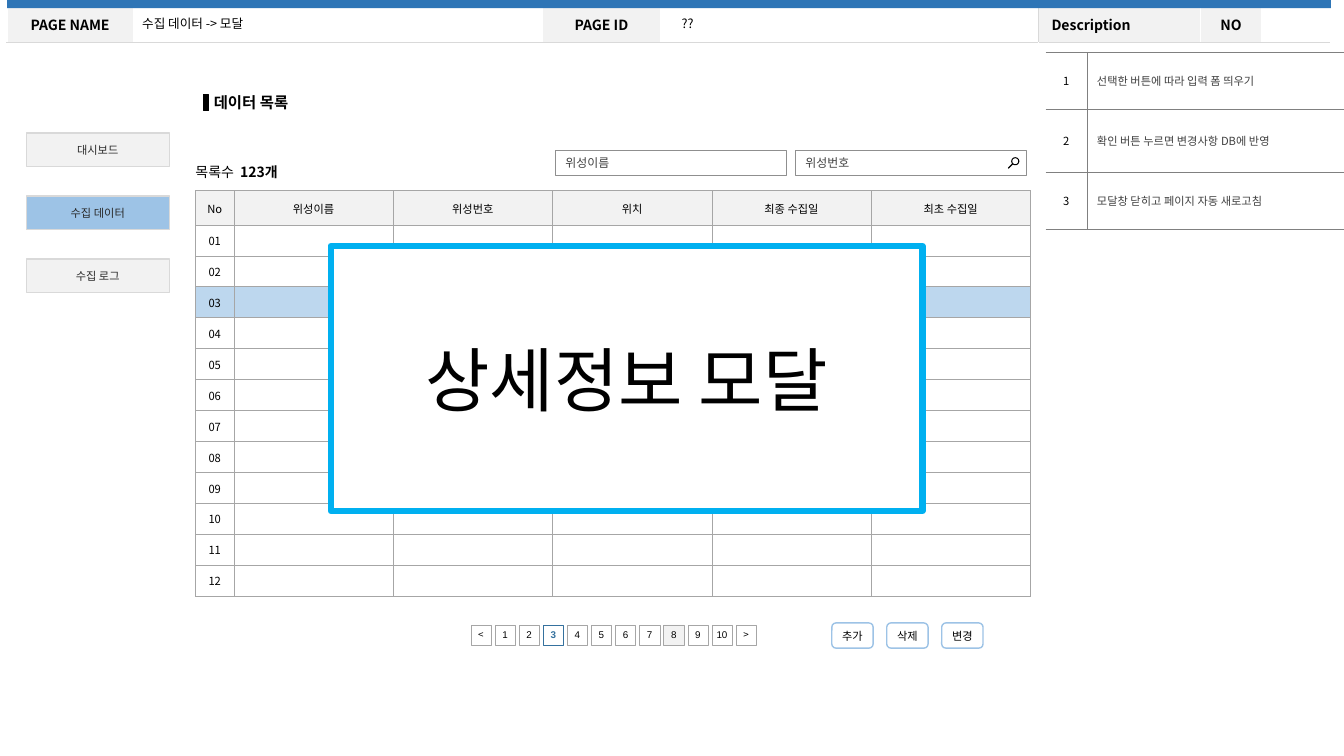
from math import cos, sin, radians
from lxml import etree
from pptx import Presentation
from pptx.dml.color import RGBColor
from pptx.enum.shapes import MSO_SHAPE
from pptx.enum.text import MSO_ANCHOR, MSO_AUTO_SIZE, PP_ALIGN
from pptx.oxml.ns import qn
from pptx.util import Inches, Pt

RECT, ROUND = MSO_SHAPE.RECTANGLE, MSO_SHAPE.ROUNDED_RECTANGLE
MID, TOP = MSO_ANCHOR.MIDDLE, MSO_ANCHOR.TOP
LEFT, CENTER = PP_ALIGN.LEFT, PP_ALIGN.CENTER
FIXED = MSO_AUTO_SIZE.NONE
BLACK = RGBColor(0x00, 0x00, 0x00)
WHITE = RGBColor(0xFF, 0xFF, 0xFF)
PALE = RGBColor(0xF2, 0xF2, 0xF2)
RULE = RGBColor(0xD9, 0xD9, 0xD9)
GRID = RGBColor(0xA6, 0xA6, 0xA6)
EDGE = RGBColor(0x8F, 0x8F, 0x8F)
GRAY = RGBColor(0x80, 0x80, 0x80)
DARK = RGBColor(0x40, 0x40, 0x40)
INK = RGBColor(0x29, 0x29, 0x29)
BAR = RGBColor(0x2E, 0x75, 0xB6)
SKY = RGBColor(0x9D, 0xC3, 0xE6)
ROW = RGBColor(0xBD, 0xD7, 0xEE)
LINK = RGBColor(0x35, 0x71, 0x9E)
CYAN = RGBColor(0x00, 0xB0, 0xF0)
NOTO, ARIAL, CALIBRI = "Noto Sans CJK KR", "Arial", "Calibri"

TITLE = "데이터 목록"
FIELDS = [("수집 데이터 -> 모달", 1.31, 4.02), ("??", 6.66, 3.64)]
HEADS = ["PAGE NAME", "", "PAGE ID", "", "Description", "NO", ""]
HEAD_COLS = [1.25, 4.06, 1.17, 3.75, 1.61, 0.6, 0.68]
NOTES = ["선택한 버튼에 따라 입력 폼 띄우기", "확인 버튼 누르면 변경사항 DB에 반영",
         "모달창 닫히고 페이지 자동 새로고침"]
MENU = [("대시보드", CALIBRI), ("수집 데이터", CALIBRI), ("수집 로그", NOTO)]
LIST = ["No", "위성이름", "위성번호", "위치", "최종 수집일", "최초 수집일"]
COUNT = 12
CHOSEN = 3
SEARCH = [("위성이름", 5.51), ("위성번호", 7.89)]
PAGES = ["<"] + [str(n) for n in range(1, 11)] + [">"]
BUTTONS = ["추가", "삭제", "변경"]
MODAL = "상세정보 모달"

deck = Presentation()
deck.slide_width, deck.slide_height = Inches(13.33), Inches(7.5)
slide = deck.slides.add_slide(deck.slide_layouts[3])
shapes = slide.shapes


def write(par, text, size, color=BLACK, font=NOTO, bold=False):
    run = par.add_run()
    run.text = text
    run.font.size, run.font.bold, run.font.name = Pt(size), bold, font
    run.font.color.rgb = color
    etree.SubElement(run._r.get_or_add_rPr(), qn("a:ea"), typeface=NOTO)


def place(item, x, y, w, h):
    item.left, item.top = Inches(x), Inches(y)
    item.width, item.height = Inches(w), Inches(h)


def pad(item, sides):
    (item.margin_left, item.margin_top,
     item.margin_right, item.margin_bottom) = map(Inches, sides)


def paint(item, fill, line, width):
    item.shadow.inherit = False
    if fill is None:
        item.fill.background()
    else:
        item.fill.solid()
        item.fill.fore_color.rgb = fill
    if line is None:
        item.line.fill.background()
    else:
        item.line.color.rgb, item.line.width = line, Pt(width)


def box(kind, at, fill, line=None, width=0.25, text="", size=8, color=BLACK,
        font=NOTO, bold=False, align=CENTER, sides=(0, 0, 0, 0)):
    item = shapes.add_shape(kind, *map(Inches, at))
    paint(item, fill, line, width)
    if text:
        frame = item.text_frame
        frame.word_wrap, frame.vertical_anchor = True, MID
        pad(frame, sides)
        frame.paragraphs[0].alignment = align
        write(frame.paragraphs[0], text, size, color, font, bold)
    return item


def grid(x, y, cols, rows):
    frame = shapes.add_table(len(rows), len(cols), Inches(x), Inches(y),
                             Inches(sum(cols)), Inches(sum(rows)))
    table = frame.table
    table.first_row = table.horz_banding = False
    for col, w in zip(table.columns, cols):
        col.width = Inches(w)
    for row, h in zip(table.rows, rows):
        row.height = Inches(h)
    return table


def cell_style(cell, edges, fill=None, sides=(0.1, 0.05, 0.1, 0.05)):
    cell.vertical_anchor = MID
    pad(cell, sides)
    props = cell._tc.get_or_add_tcPr()
    for side, color in zip("LRTB", edges):
        width = 12700 if color == WHITE else 3175
        line = etree.SubElement(props, qn("a:ln" + side), w=str(width))
        if color is None:
            etree.SubElement(line, qn("a:noFill"))
        else:
            solid = etree.SubElement(line, qn("a:solidFill"))
            etree.SubElement(solid, qn("a:srgbClr"), val=str(color))
    if fill is None:
        cell.fill.background()
    else:
        cell.fill.solid()
        cell.fill.fore_color.rgb = fill


def cell_text(cell, text, size, color=BLACK, bold=False, align=CENTER):
    par = cell.text_frame.paragraphs[0]
    par.alignment = align
    if text:
        write(par, text, size, color, NOTO, bold)
    else:
        etree.SubElement(par._p, qn("a:endParaRPr"), sz=str(size * 100))
    return par


title, *bodies = slide.placeholders
place(title, 2.02, 0.87, 1.03, 0.29)
frame = title.text_frame
frame.auto_size, frame.word_wrap, frame.vertical_anchor = FIXED, False, TOP
frame.paragraphs[0].alignment = LEFT
write(frame.paragraphs[0], TITLE, 11, bold=True)

for body, (text, x, w) in zip(bodies, FIELDS):
    place(body, x, 0.12, w, 0.24)
    frame = body.text_frame
    frame.auto_size, frame.vertical_anchor = FIXED, MID
    par = frame.paragraphs[0]
    par.line_spacing, par.space_before = 0.9, Pt(10)
    props = par._p.get_or_add_pPr()
    props.set("marL", "0")
    props.set("indent", "0")
    etree.SubElement(props, qn("a:buNone"))
    write(par, text, 9)

head = grid(0.07, 0.07, HEAD_COLS, [0.35, 7])
for c, text in enumerate(HEADS):
    left = RULE if c == 4 else WHITE
    right = RULE if c == 3 else WHITE
    cell = head.cell(0, c)
    cell_style(cell, (left, right, WHITE, RULE), PALE if text else None,
               (0.13, 0.07, 0.13, 0.07))
    cell_text(cell, text, 10, bold=True, align=LEFT if c == 4 else CENTER)
    cell_style(head.cell(1, c), (left, right, RULE, WHITE))
head.cell(1, 0).merge(head.cell(1, 3))
head.cell(1, 4).merge(head.cell(1, 6))
box(RECT, (0.07, 0, 13.13, 0.08), BAR)

notes = grid(10.37, 0.52, [0.41, 2.55], [0.56, 0.63, 0.56])
for r, text in enumerate(NOTES):
    num, note = notes.cell(r, 0), notes.cell(r, 1)
    cell_style(num, (None, GRAY, GRAY, GRAY))
    cell_style(note, (GRAY, None, GRAY, GRAY))
    cell_text(num, str(r + 1), 8).line_spacing = Pt(12)
    cell_text(note, text, 8, DARK, align=LEFT).line_spacing = Pt(12)

for i, (text, font) in enumerate(MENU):
    item = box(ROUND, (0.26, 1.32 + 0.625 * i, 1.42, 0.33),
               SKY if i == 1 else PALE, RULE, 1, text, 8, INK, font,
               sides=(0.04,) * 4)
    item.adjustments[0] = 0

data = grid(1.94, 1.89, [0.38] + [1.58] * 5, [0.34] + [0.307] * COUNT)
for r in range(COUNT + 1):
    fill = {0: PALE, CHOSEN: ROW}.get(r, WHITE)
    texts = LIST if r == 0 else [f"{r:02d}"] + [""] * 5
    for c, text in enumerate(texts):
        cell_style(data.cell(r, c), (GRID,) * 4, fill, (0.01, 0.01, 0.01, 0))
        cell_text(data.cell(r, c), text, 8)

for text, x in SEARCH:
    box(RECT, (x, 1.49, 2.29, 0.25), WHITE, EDGE, 0.25, text, 8.5, DARK,
        align=LEFT, sides=(0.1, 0.05, 0.25, 0.05))


def ring(radius, angles):
    return [(Inches(10.07 + radius * cos(radians(a))),
             Inches(1.6 + radius * sin(radians(a)))) for a in angles]


rim = ring(0.04, range(145, 486, 10)) + ring(0.1, (132, 138))
hole = ring(0.03, range(360, 0, -15))
lens = shapes.build_freeform(*rim[0], scale=1.0)
lens.add_line_segments(rim[1:], close=True)
lens.move_to(*hole[0])
lens.add_line_segments(hole[1:], close=True)
paint(lens.convert_to_shape(), BLACK, None, 0)

total = shapes.add_textbox(*map(Inches, (1.84, 1.57, 1.1, 0.27))).text_frame
total.word_wrap = False
write(total.paragraphs[0], "목록수  ", 10)
write(total.paragraphs[0], "123개", 10, bold=True)

step = (7.3 - 4.67) / (len(PAGES) - 1)
for i, text in enumerate(PAGES):
    here = i == CHOSEN
    box(RECT, (4.67 + step * i, 6.2, 0.2, 0.2), PALE if i == 8 else WHITE,
        LINK if here else GRID, 0.25, text, 7, LINK if here else BLACK,
        ARIAL if text.isdigit() else NOTO, here)

for i, text in enumerate(BUTTONS):
    box(ROUND, (8.25 + 0.545 * i, 6.18, 0.41, 0.25), None, SKY, 1, text, 8,
        font=CALIBRI)

box(RECT, (3.28, 2.44, 5.87, 2.63), WHITE, CYAN, 4.5, MODAL, 50, font=CALIBRI)
box(RECT, (2.02, 0.94, 0.05, 0.16), BLACK, BLACK, 1)

deck.save("out.pptx")
